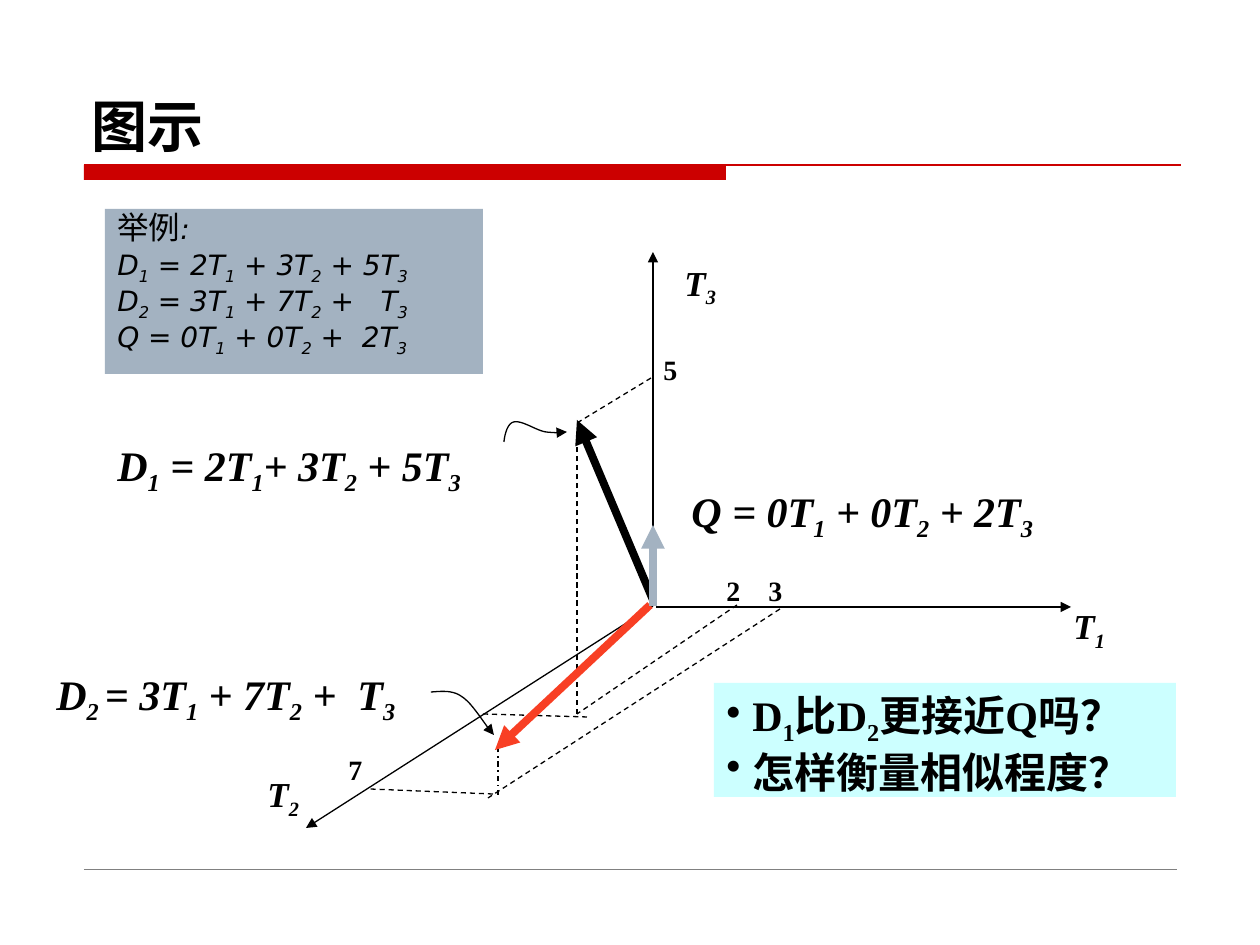
from dataclasses import dataclass
from typing import NamedTuple, Optional

from lxml import etree
from pptx import Presentation
from pptx.dml.color import RGBColor
from pptx.enum.dml import MSO_LINE
from pptx.enum.shapes import MSO_CONNECTOR, MSO_SHAPE
from pptx.enum.text import MSO_ANCHOR, MSO_AUTO_SIZE, PP_ALIGN
from pptx.oxml.ns import qn
from pptx.util import Emu, Pt

DASH, DASH_DOT = MSO_LINE.DASH, MSO_LINE.DASH_DOT
STRAIGHT, RECTANGLE = MSO_CONNECTOR.STRAIGHT, MSO_SHAPE.RECTANGLE
TOP, BOTTOM = MSO_ANCHOR.TOP, MSO_ANCHOR.BOTTOM
LEFT = PP_ALIGN.LEFT
FIT_SHAPE, NO_FIT = MSO_AUTO_SIZE.SHAPE_TO_FIT_TEXT, MSO_AUTO_SIZE.NONE
PX_PER_INCH = 126
CURVE_STEPS = 12


@dataclass(frozen=True)
class Theme:
    black: str = "000000"
    red: str = "CC0000"
    rule: str = "808080"
    slate: str = "A3B2C1"
    orange: str = "F83F24"
    aqua: str = "CCFFFF"
    serif: str = "Times New Roman"
    sans: str = "DejaVu Sans"
    chinese: str = "Noto Sans CJK SC"
    title: int = 32
    formula: int = 24
    axis: int = 20
    heading: int = 18
    small: int = 16
    thin: float = 0.75
    thick: float = 4.5


THEME = Theme()


class Style(NamedTuple):
    size: int
    font: str = THEME.serif
    bold: bool = True
    italic: bool = False


class Box(NamedTuple):
    left: int
    top: int
    width: int
    height: int


class Label(NamedTuple):
    text: str
    box: Box
    style: Style


class Line(NamedTuple):
    start: tuple[int, int]
    end: tuple[int, int]
    color: str = THEME.black
    width: float = THEME.thin
    dash: Optional[MSO_LINE] = None
    arrow: bool = False


TITLE = Style(THEME.title, THEME.chinese)
FORMULA = Style(THEME.formula, italic=True)
AXIS = Style(THEME.axis, italic=True)
TICK = Style(THEME.small)
QUESTION = Style(THEME.formula)
HEADING = Style(THEME.heading, THEME.sans, bold=False)
EXAMPLE = Style(THEME.small, THEME.sans, bold=False, italic=True)

# Text between bars is set as a subscript.
EXAMPLES = ("D|1| = 2T|1| + 3T|2| + 5T|3|", "D|2| = 3T|1| + 7T|2| +   T|3|",
            "Q = 0T|1| + 0T|2| +  2T|3|")
QUESTIONS = ("D|1|比D|2|更接近Q吗？", "怎样衡量相似程度？")
LABELS = (
    Label("T|3|", Box(672, 255, 57, 55), AXIS),
    Label("T|1|", Box(1061, 598, 57, 55), AXIS),
    Label("T|2|", Box(255, 766, 57, 55), AXIS),
    Label("D|1| = 2T|1|+ 3T|2| + 5T|3|", Box(105, 433, 387, 64), FORMULA),
    Label("D|2 |= 3T|1| + 7T|2| +  T|3|", Box(44, 662, 383, 64), FORMULA),
    Label("Q = 0T|1| + 0T|2| + 2T|3|", Box(679, 479, 383, 64), FORMULA),
    Label("7", Box(336, 746, 39, 47), TICK),
    Label("3", Box(756, 567, 39, 47), TICK),
    Label("2", Box(714, 567, 39, 47), TICK),
    Label("5", Box(651, 346, 39, 47), TICK),
)
LINES = (
    Line((656, 607), (1071, 607), arrow=True),
    Line((653, 606), (306, 828), arrow=True),
    Line((653, 606), (653, 252), arrow=True),
    Line((737, 605), (577, 714), dash=DASH),
    Line((483, 714), (587, 717), dash=DASH),
    Line((577, 714), (577, 441), dash=DASH),
    Line((653, 600), (577, 420), width=THEME.thick, arrow=True),
    Line((780, 609), (488, 798), dash=DASH),
    Line((493, 794), (370, 789), dash=DASH),
    Line((498, 795), (498, 746), dash=DASH_DOT),
    Line((650, 605), (495, 750), THEME.orange, THEME.thick, arrow=True),
    Line((653, 606), (653, 525), THEME.slate, THEME.thick, arrow=True),
    Line((651, 378), (577, 423), dash=DASH),
)
# Each pointer chains cubic curves that share their end points.
POINTERS = (
    ((504, 442), (505, 433), (508, 423), (514, 422), (522, 420),
     (537, 431), (546, 432), (554, 433), (561, 433), (567, 432)),
    ((431, 692), (436, 692), (451, 689), (461, 696), (473, 703),
     (486, 727), (494, 735)),
)


def px(length: float) -> Emu:
    return Emu(round(length * 914400 / PX_PER_INCH))


def add_span(para, text: str, style: Style, subscript: bool = False) -> None:
    span = para.add_run()
    span.text = text
    font = span.font
    font.name, font.size = style.font, Pt(style.size)
    font.bold, font.italic = style.bold, style.italic
    font.color.rgb = RGBColor.from_string(THEME.black)
    properties = font._element
    etree.SubElement(properties, qn("a:ea"), typeface=THEME.chinese)
    if subscript:
        properties.set("baseline", "-25000")


def add_formula(para, text: str, style: Style) -> None:
    for index, part in enumerate(text.split("|")):
        if part:
            add_span(para, part, style, subscript=index % 2 == 1)


def add_panel(page, box: Box, color: str):
    panel = page.shapes.add_shape(RECTANGLE, *map(px, box))
    panel.shadow.inherit = False
    panel.fill.solid()
    panel.fill.fore_color.rgb = RGBColor.from_string(color)
    panel.line.fill.background()
    panel.text_frame.word_wrap = True
    panel.text_frame.vertical_anchor = TOP
    return panel


def add_paragraphs(frame, count: int) -> list:
    paras = [frame.paragraphs[0]] + [frame.add_paragraph() for _ in range(count - 1)]
    for para in paras:
        para.alignment = LEFT
    return paras


def format_line(shape, color: str, width: float, arrow: bool) -> None:
    shape.line.color.rgb = RGBColor.from_string(color)
    shape.line.width = Pt(width)
    if arrow:
        etree.SubElement(shape.line._get_or_add_ln(), qn("a:tailEnd"), type="triangle")


def add_line(page, line: Line) -> None:
    connector = page.shapes.add_connector(STRAIGHT, *map(px, line.start + line.end))
    if line.dash:
        connector.line.dash_style = line.dash
    format_line(connector, line.color, line.width, line.arrow)
    etree.SubElement(connector._element.spPr, qn("a:effectLst"))


def curve_point(controls: tuple, t: float) -> tuple[Emu, Emu]:
    weights = ((1 - t) ** 3, 3 * t * (1 - t) ** 2, 3 * t * t * (1 - t), t ** 3)
    x, y = (sum(w * point[axis] for w, point in zip(weights, controls)) for axis in (0, 1))
    return px(x), px(y)


def add_pointer(page, points: tuple) -> None:
    outline = [curve_point(points[start:start + 4], step / CURVE_STEPS)
               for start in range(0, len(points) - 1, 3)
               for step in range(1, CURVE_STEPS + 1)]
    builder = page.shapes.build_freeform(*map(px, points[0]))
    builder.add_line_segments(outline, close=False)
    pointer = builder.convert_to_shape()
    pointer.shadow.inherit = False
    pointer.fill.background()
    format_line(pointer, THEME.black, THEME.thin, arrow=True)


def add_label(page, label: Label) -> None:
    frame = page.shapes.add_textbox(*map(px, label.box)).text_frame
    frame.word_wrap = False
    frame.auto_size = FIT_SHAPE
    add_formula(frame.paragraphs[0], label.text, label.style)


def add_title(page) -> None:
    title = page.shapes.title
    title.left, title.top, title.width, title.height = map(px, Box(79, 42, 1102, 123))
    frame = title.text_frame
    frame.vertical_anchor, frame.auto_size = BOTTOM, NO_FIT
    frame.paragraphs[0].alignment = LEFT
    add_span(frame.paragraphs[0], "图示", TITLE)


def add_examples(page) -> None:
    panel = add_panel(page, Box(105, 209, 378, 165), THEME.slate)
    heading, *rows = add_paragraphs(panel.text_frame, len(EXAMPLES) + 1)
    heading.line_spacing = 0.8
    add_span(heading, "举例", HEADING)
    add_span(heading, ":", EXAMPLE)
    for para, text in zip(rows, EXAMPLES):
        para.line_spacing, para.space_before = 0.8, Pt(3.2)
        add_formula(para, text, EXAMPLE)


def add_questions(page) -> None:
    panel = add_panel(page, Box(714, 683, 462, 114), THEME.aqua)
    for para, text in zip(add_paragraphs(panel.text_frame, len(QUESTIONS)), QUESTIONS):
        properties = para._p.get_or_add_pPr()
        properties.set("marL", str(px(26)))
        properties.set("indent", str(px(-26)))
        etree.SubElement(properties, qn("a:buChar"), char="•")
        add_formula(para, text, QUESTION)


def main() -> None:
    deck = Presentation()
    deck.slide_width, deck.slide_height = px(1260), px(945)
    page = deck.slides.add_slide(deck.slide_layouts[5])
    add_panel(page, Box(84, 165, 642, 15), THEME.red)
    add_line(page, Line((84, 165), (1181, 165), THEME.red))
    add_line(page, Line((84, 869), (1177, 869), THEME.rule, 0.25))
    add_title(page)
    add_examples(page)
    for line in LINES:
        add_line(page, line)
    for points in POINTERS:
        add_pointer(page, points)
    for label in LABELS:
        add_label(page, label)
    add_questions(page)
    deck.save("out.pptx")


if __name__ == "__main__":
    main()
